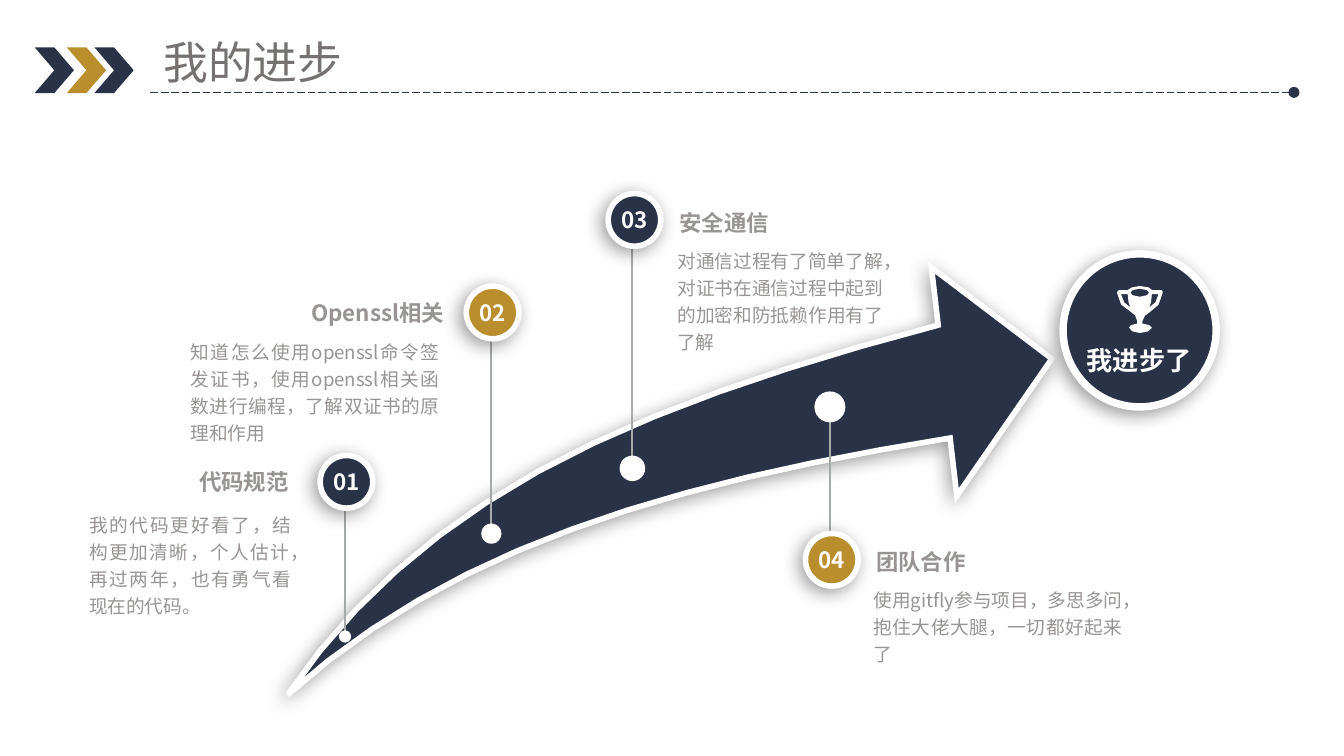
from lxml import etree
from pptx import Presentation
from pptx import util as u
from pptx.dml.color import RGBColor
from pptx.enum import dml, shapes, text
from pptx.oxml import ns

Pt = u.Pt
FONT = "Noto Sans CJK SC"
COLORS = {
    "navy": "293247", "gold": "BA8D2D", "white": "FFFFFF", "number": "FCFCFC",
    "copy": "999494", "title": "767171", "stem": "A6AAA9", "shadow": "000000",
}
LEFT, RIGHT = text.PP_ALIGN.LEFT, text.PP_ALIGN.RIGHT
CENTER, JUSTIFY = text.PP_ALIGN.CENTER, text.PP_ALIGN.JUSTIFY

# number, colour, badge centre, dot centre, dot diameter,
# heading, heading side, heading box, body, body box (left, top, width), insets
MILESTONES = [
    ("01", "navy", (185.6, 258.1), (184.8, 341), 6.6,
     "代码规范", RIGHT, (36.5, 245.8, 123.1),
     "我的代码更好看了，结构更加清晰，个人估计，再过两年，也有勇气看现在的代码。",
     (42.8, 270, 118.1), (5, 3)),
    ("02", "gold", (263.9, 167.4), (263.2, 285.9), 10.8,
     "Openssl相关", RIGHT, (104.8, 156.2, 133.2),
     "知道怎么使用openssl命令签发证书，使用openssl相关函数进行编程，了解双证书的原理和作用",
     (102.2, 180.2, 133.2), (0, 0)),
    ("03", "navy", (339.9, 117.8), (338.8, 250.9), 13.7,
     "安全通信", LEFT, (364, 108, 109.4),
     "对通信过程有了简单了解，对证书在通信过程中起到的加密和防抵赖作用有了了解",
     (362.9, 131.5, 110.2), (0, 0)),
    ("04", "gold", (445.6, 299.9), (444.6, 218), 16.6,
     "团队合作", LEFT, (469.4, 289.4, 109.4),
     "使用gitfly参与项目，多思多问，抱住大佬大腿，一切都好起来了",
     (468, 313.2, 133.2), (0, 0)),
]

# Outlines: a start point, then lines (2 numbers) and Bezier curves (6 numbers)
ARROW = [[
    (154.1, 372.2), (187.2, 323.3, 231.1, 284.4, 288, 252.7),
    (345.6, 221, 417.6, 196.6, 502.6, 174.2), (499, 143.3), (563.5, 192.2),
    (512.6, 265.7), (509, 234.7), (432, 247, 364.3, 262.1, 306, 283.7),
    (247, 305.3, 196.6, 334.1, 154.1, 372.2),
]]
TROPHY = [
    [(3, 6), (8, 6), (8, 11, 9, 14, 10, 16), (7, 14, 3, 11, 3, 6)],
    [(17, 2), (22, 2, 24, 4, 24, 5), (24, 6, 22, 8, 17, 8),
     (12, 8, 10, 6, 10, 5), (10, 4, 12, 2, 17, 2)],
    [(31, 6), (26, 6), (26, 11, 25, 14, 24, 16), (27, 14, 31, 11, 31, 6)],
    [(19, 26), (19, 23, 22, 21, 25, 19), (29, 16, 34, 13, 34, 5),
     (34, 4, 34, 3, 33, 3), (26, 3), (26, 2, 23, 0, 17, 0), (12, 0, 9, 2, 8, 3),
     (2, 3), (1, 3, 0, 4, 0, 5), (0, 13, 5, 16, 10, 19), (13, 21, 15, 23, 15, 26),
     (15, 28), (11, 28, 9, 30, 9, 31), (9, 33, 13, 35, 17, 35),
     (22, 35, 26, 33, 26, 31), (26, 30, 23, 28, 19, 28), (19, 26)],
]


def rgb(name):
    return RGBColor.from_string(COLORS[name])


def add_xml(parent, tag, **attributes):
    return etree.SubElement(parent, ns.qn(tag), attributes)


def paint(shape, fill, outline=0):
    """Fill a shape; an outlined one gets a white edge and a soft shadow."""
    shape.shadow.inherit = False
    shape.fill.solid()
    shape.fill.fore_color.rgb = rgb(fill)
    if not outline:
        shape.line.fill.background()
        return
    shape.line.color.rgb = rgb("white")
    shape.line.width = Pt(outline)
    add_xml(shape.line._get_or_add_ln(), "a:miter", lim="800000")
    effects = shape._element.spPr.find(ns.qn("a:effectLst"))
    shadow = add_xml(effects, "a:outerShdw", blurRad=str(Pt(10)), dist=str(Pt(3)),
                     dir=str(135 * 60000), algn="ctr", rotWithShape="0")
    color = add_xml(shadow, "a:srgbClr", val=COLORS["shadow"])
    add_xml(color, "a:alpha", val="40000")


def flatten(contour, steps):
    points = [contour[0]]
    for segment in contour[1:]:
        if len(segment) == 2:
            points.append(segment)
            continue
        curve = [points[-1], segment[:2], segment[2:4], segment[4:]]
        for step in range(1, steps + 1):
            t = step / steps
            weights = ((1 - t) ** 3, 3 * t * (1 - t) ** 2, 3 * t * t * (1 - t), t ** 3)
            points.append(tuple(sum(w * p[axis] for w, p in zip(weights, curve))
                                for axis in (0, 1)))
    return points


def add_outline(slide, contours, fill, steps, outline=0, origin=(0, 0), unit=1):
    builder = None
    for contour in contours:
        points = [tuple(Pt(o + unit * v) for o, v in zip(origin, point))
                  for point in flatten(contour, steps)]
        if builder is None:
            builder = slide.shapes.build_freeform(*points[0])
        else:
            builder.move_to(*points[0])
        # The closing edge returns to the start point
        ends_at_start = points[-1] == points[0]
        builder.add_line_segments(points[1:-1] if ends_at_start else points[1:])
        builder.add_line_segments([], close=True)
    paint(builder.convert_to_shape(), fill, outline)


def add_circle(slide, center, diameter, fill, outline=0):
    left, top = (Pt(c - diameter / 2) for c in center)
    circle = slide.shapes.add_shape(shapes.MSO_SHAPE.OVAL, left, top,
                                    Pt(diameter), Pt(diameter))
    paint(circle, fill, outline)


def add_line(slide, start, end, color, width):
    line = slide.shapes.add_connector(shapes.MSO_CONNECTOR.STRAIGHT,
                                      *(Pt(v) for v in (*start, *end)))
    line.line.color.rgb = rgb(color)
    line.line.width = Pt(width)
    add_xml(line._element.spPr, "a:effectLst")
    return line


def add_text(slide, box, words, size, color, bold=False, align=LEFT, middle=True,
             spacing=0.9, before=10, insets=(0, 0), wrap=True):
    label = slide.shapes.add_textbox(*(Pt(v) for v in box))
    frame = label.text_frame
    frame.word_wrap = wrap
    frame.margin_left = frame.margin_right = Pt(insets[0])
    frame.margin_top = frame.margin_bottom = Pt(insets[1])
    frame.vertical_anchor = text.MSO_ANCHOR.MIDDLE if middle else text.MSO_ANCHOR.TOP
    paragraph = frame.paragraphs[0]
    paragraph.alignment = align
    paragraph.line_spacing = spacing
    paragraph.space_before = Pt(before)
    run = paragraph.add_run()
    run.text = words
    run.font.size, run.font.bold, run.font.name = Pt(size), bold, FONT
    run.font.color.rgb = rgb(color)
    add_xml(run.font._element, "a:ea", typeface=FONT)
    return frame


def add_chevron(slide, left, fill):
    chevron = slide.shapes.add_shape(shapes.MSO_SHAPE.CHEVRON, Pt(left), Pt(25.4),
                                     Pt(21), Pt(24.5))
    paint(chevron, fill)


def add_milestone(slide, number, fill, badge, dot, diameter, heading, side,
                  heading_box, body, body_box, insets):
    add_line(slide, dot, (dot[0], badge[1]), "stem", 1)
    add_circle(slide, badge, 28.2, fill, 3)
    add_circle(slide, dot, diameter, "white")
    before = 2 if any(insets) else 10
    add_text(slide, (*heading_box, 24.5), heading, 12, "copy", True, side,
             spacing=1.0 if any(insets) else 0.9, before=before, insets=insets)
    add_text(slide, (*body_box, 36.7), body, 10, "copy", align=JUSTIFY, middle=False,
             spacing=1.2, before=before, insets=insets)
    add_text(slide, (badge[0] - 7.6, badge[1] - 9, 15.2, 18), number, 12, "number",
             True, CENTER, spacing=Pt(14))


def add_header(slide):
    add_chevron(slide, 35.8, "gold")
    add_chevron(slide, 50.6, "navy")
    rule = add_line(slide, (80.6, 49.5), (693.2, 49.5), "navy", 0.5)
    rule.line.dash_style = dml.MSO_LINE.LONG_DASH
    add_xml(rule.line._get_or_add_ln(), "a:tailEnd", type="oval")
    title = add_text(slide, (80.4, 15.1, 110.2, 36), "我的进步", 24, "title",
                     middle=False, spacing=1.0, before=0, insets=(7.2, 3.6), wrap=False)
    title.auto_size = text.MSO_AUTO_SIZE.SHAPE_TO_FIT_TEXT
    add_chevron(slide, 18.6, "navy")


def main():
    deck = Presentation()
    deck.slide_width, deck.slide_height = Pt(720), Pt(405)
    slide = deck.slides.add_slide(deck.slide_layouts[6])

    # Growth arrow and its milestones
    add_outline(slide, ARROW, "navy", 6, outline=3)
    for milestone in MILESTONES:
        add_milestone(slide, *milestone)

    # Goal with trophy
    add_circle(slide, (610.5, 177), 82, "navy", 4)
    add_outline(slide, TROPHY, "white", 2, origin=(598.4, 153.2), unit=0.72)
    add_text(slide, (580, 181.6, 60.5, 24.5), "我进步了", 14, "white", True, CENTER)

    add_header(slide)
    deck.save("out.pptx")


if __name__ == "__main__":
    main()
